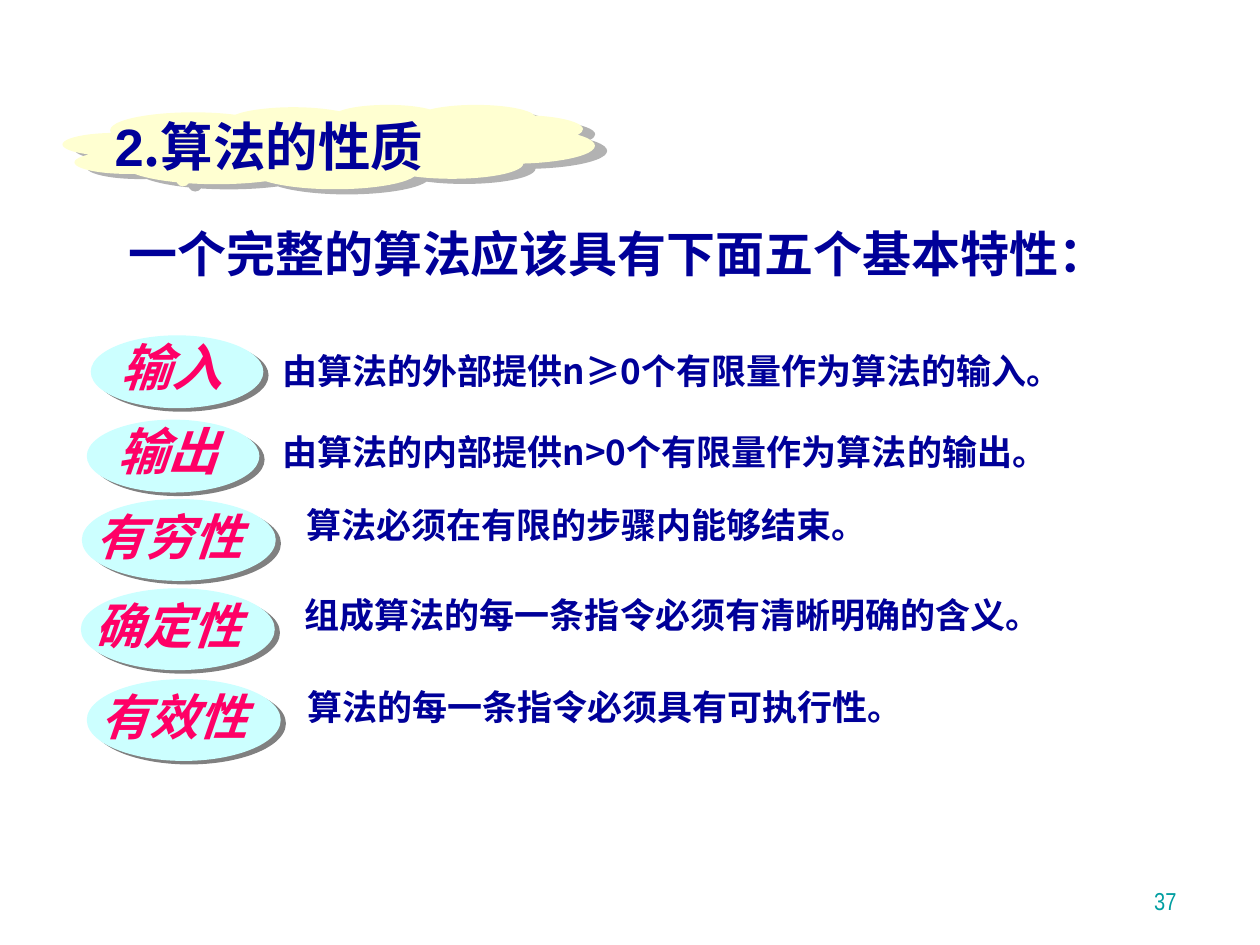
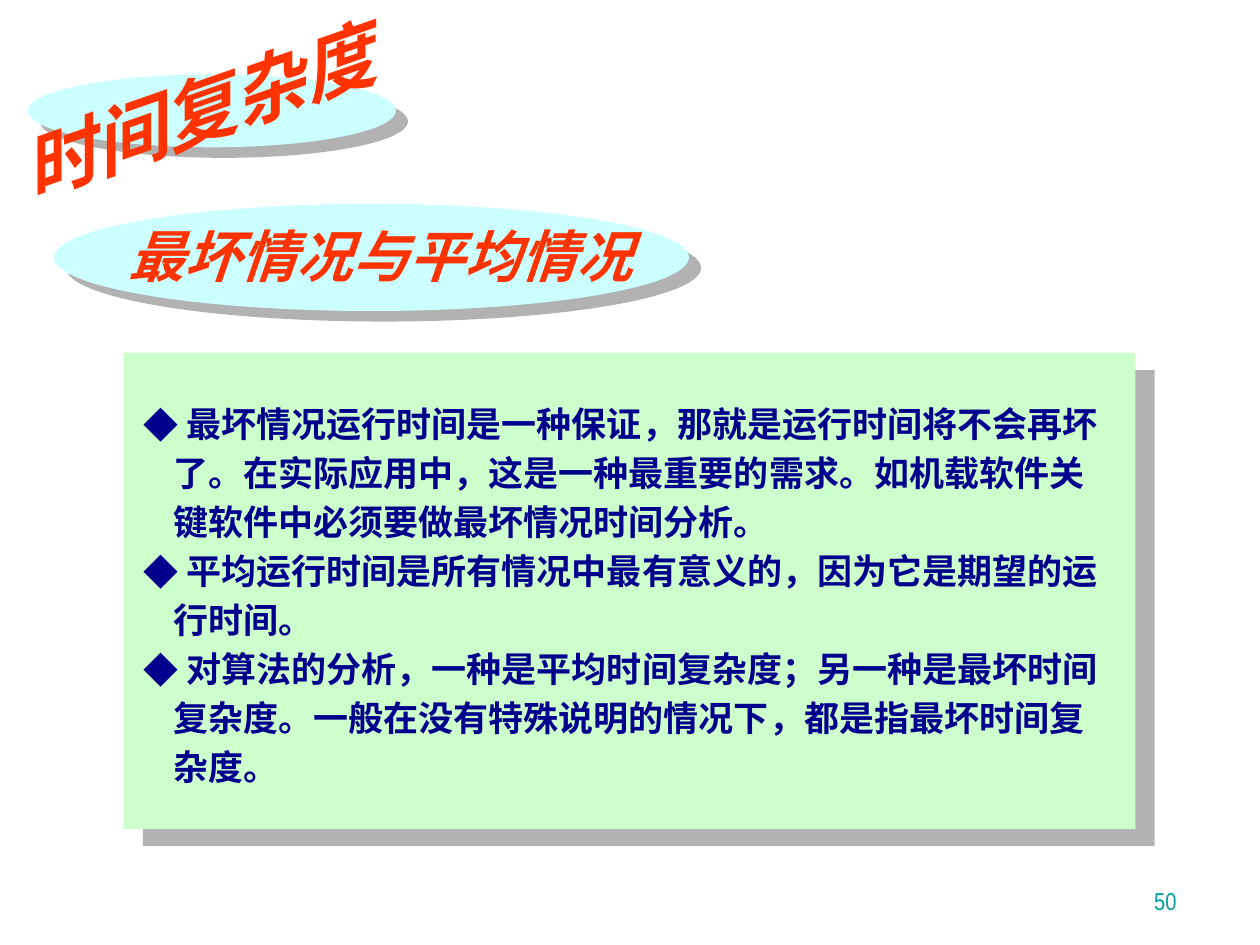
from lxml.etree import SubElement
from pptx import Presentation
from pptx.dml.color import RGBColor
from pptx.enum.shapes import MSO_SHAPE as SHAPE
from pptx.enum.text import MSO_ANCHOR as ANCHOR, PP_ALIGN as ALIGN
from pptx.oxml.ns import qn
from pptx.util import Cm, Pt

NAVY = RGBColor(0x00, 0x00, 0x99)
DARK_NAVY = RGBColor(0x00, 0x00, 0x8C)
PINK = RGBColor(0xFF, 0x00, 0x66)
RED = RGBColor(0xFF, 0x33, 0x00)
TEAL = RGBColor(0x00, 0x9E, 0xA1)
CYAN = RGBColor(0xCC, 0xFF, 0xFF)
CREAM = RGBColor(0xFF, 0xFF, 0xD1)
GREEN = RGBColor(0xCC, 0xFF, 0xCC)
SILVER = RGBColor(0xB2, 0xB2, 0xB2)
GREY = RGBColor(0x80, 0x80, 0x80)
CJK = "Noto Sans CJK SC"

TRAITS = [
    ("输入", (1.83, 6.76), "由算法的外部提供n≥0个有限量作为算法的输入。", (5.44, 6.93)),
    ("输出", (1.75, 8.46), "由算法的内部提供n>0个有限量作为算法的输出。", (5.44, 8.56)),
    ("有穷性", (1.65, 10.06), "算法必须在有限的步骤内能够结束。", (5.92, 10.03)),
    ("确定性", (1.63, 11.86), "组成算法的每一条指令必须有清晰明确的含义。", (5.89, 11.84)),
    ("有效性", (1.75, 13.69), "算法的每一条指令必须具有可执行性。", (5.94, 13.69)),
]
CASES = [
    " 最坏情况运行时间是一种保证，那就是运行时间将不会再坏了。在实际应用中，这是一种最重要的需求。"
    "如机载软件关键软件中必须要做最坏情况时间分析。",
    " 平均运行时间是所有情况中最有意义的，因为它是期望的运行时间。",
    " 对算法的分析，一种是平均时间复杂度；另一种是最坏时间复杂度。"
    "一般在没有特殊说明的情况下，都是指最坏时间复杂度。",
]


def add_run(p, text, size=20, color=NAVY, font=CJK, bold=True, italic=False):
    """Append a formatted run to a paragraph."""
    r = p.add_run()
    r.text = text
    f = r.font
    f.size, f.name, f.bold, f.italic = Pt(size), font, bold, italic
    f.color.rgb = color
    SubElement(r._r.get_or_add_rPr(), qn("a:ea"), typeface=CJK)


def set_bullet(p, char, indent):
    """Give a paragraph a hanging bullet."""
    pPr = p._p.get_or_add_pPr()
    pPr.set("marL", str(indent))
    pPr.set("indent", str(-indent))
    SubElement(pPr, qn("a:buFont"), typeface=CJK)
    SubElement(pPr, qn("a:buChar"), char=char)


def add_text(slide, box, *texts, anchor=ANCHOR.TOP, align=ALIGN.LEFT,
             bullet=None, leading=None, rotation=0, **fmt):
    """Add a text box (in cm) with one paragraph per text."""
    sp = slide.shapes.add_textbox(*map(Cm, box))
    sp.rotation = rotation
    tf = sp.text_frame
    tf.word_wrap = True
    tf.vertical_anchor = anchor
    for i, text in enumerate(texts):
        p = tf.add_paragraph() if i else tf.paragraphs[0]
        p.alignment = align
        if leading:
            p.line_spacing = Pt(leading)
        if bullet:
            set_bullet(p, bullet, Cm(0.6))
        add_run(p, text, **fmt)
    return tf


def add_shadowed(slide, kind, box, fill, shade, dist, angle):
    """Add a borderless shape (in cm) with a hard offset shadow."""
    sp = slide.shapes.add_shape(kind, *map(Cm, box))
    sp.fill.solid()
    sp.fill.fore_color.rgb = fill
    sp.line.fill.background()
    sp.shadow.inherit = False
    effects = sp._element.spPr.find(qn("a:effectLst"))
    shadow = SubElement(effects, qn("a:outerShdw"), blurRad="0", dist=str(Pt(dist)),
                        dir=str(angle * 60000), algn="ctr", rotWithShape="0")
    SubElement(shadow, qn("a:srgbClr"), val=str(shade))
    return sp


def add_trait(slide, name, name_at, text, text_at):
    """Add a trait name on its ellipse and the explanation beside it."""
    x, y = name_at
    if len(name) == 2:
        oval, label, size = (3.48, 1.47), (x + 0.36, y - 0.12, 2.74, 1.47), 29
    else:
        oval, label, size = (3.91, 1.65), (x + 0.03, y + 0.02, 3.61, 1.45), 28
    add_shadowed(slide, SHAPE.OVAL, (x, y, *oval), CYAN, GREY, 3.6, 34)
    add_text(slide, label, name, size=size, color=PINK, font="Arial", italic=True)
    add_text(slide, (*text_at, 19, 1.27), text)


def add_heading(slide, oval, box, text, size, rotation=0):
    """Add a red italic heading over a shadowed ellipse."""
    add_shadowed(slide, SHAPE.OVAL, oval, CYAN, SILVER, 9.2, 41)
    add_text(slide, box, text, size=size, color=RED, italic=True,
             anchor=ANCHOR.BOTTOM, rotation=rotation)


def add_slide(prs, number):
    """Add a blank slide with its page number."""
    slide = prs.slides.add_slide(prs.slide_layouts[6])
    add_text(slide, (18.69, 17.3, 5.28, 1.27), number, size=14, color=TEAL,
             font="Arial Narrow", bold=False, anchor=ANCHOR.BOTTOM, align=ALIGN.RIGHT)
    return slide


def build_traits(prs):
    """Build the slide on the properties of an algorithm."""
    slide = add_slide(prs, "37")
    cloud = add_shadowed(slide, SHAPE.CLOUD_CALLOUT, (1.27, 2.11, 10.72, 1.7),
                         CREAM, SILVER, 7.6, 23)
    cloud.adjustments[0], cloud.adjustments[1] = -0.235, 0.331
    tf = add_text(slide, (2.06, 2.18, 10.06, 1.52), "2", size=30, font="Arial")
    add_run(tf.paragraphs[0], ".算法的性质", size=30)
    add_text(slide, (2.34, 4.39, 22.2, 1.45), "一个完整的算法应该具有下面五个基本特性：", size=28)
    for trait in TRAITS:
        add_trait(slide, *trait)


def build_cases(prs):
    """Build the slide on worst and average cases."""
    slide = add_slide(prs, "50")
    add_heading(slide, (0.56, 1.5, 7.42, 1.47), (0, 1.12, 10.41, 1.7),
                "时间复杂度", 42, rotation=340.8)
    add_heading(slide, (1.09, 4.11, 12.8, 2.16), (2.34, 4.24, 11.15, 1.7),
                "最坏情况与平均情况", 32)
    add_shadowed(slide, SHAPE.RECTANGLE, (2.49, 7.11, 20.4, 9.6), GREEN, SILVER, 14.9, 42)
    add_text(slide, (2.64, 7.85, 20.12, 8.23), *CASES, color=DARK_NAVY,
             bullet="◆", leading=28)


def main():
    """Build and save the presentation."""
    prs = Presentation()
    prs.slide_width, prs.slide_height = Cm(25.4), Cm(19.05)
    build_traits(prs)
    build_cases(prs)
    prs.save("out.pptx")


if __name__ == "__main__":
    main()
